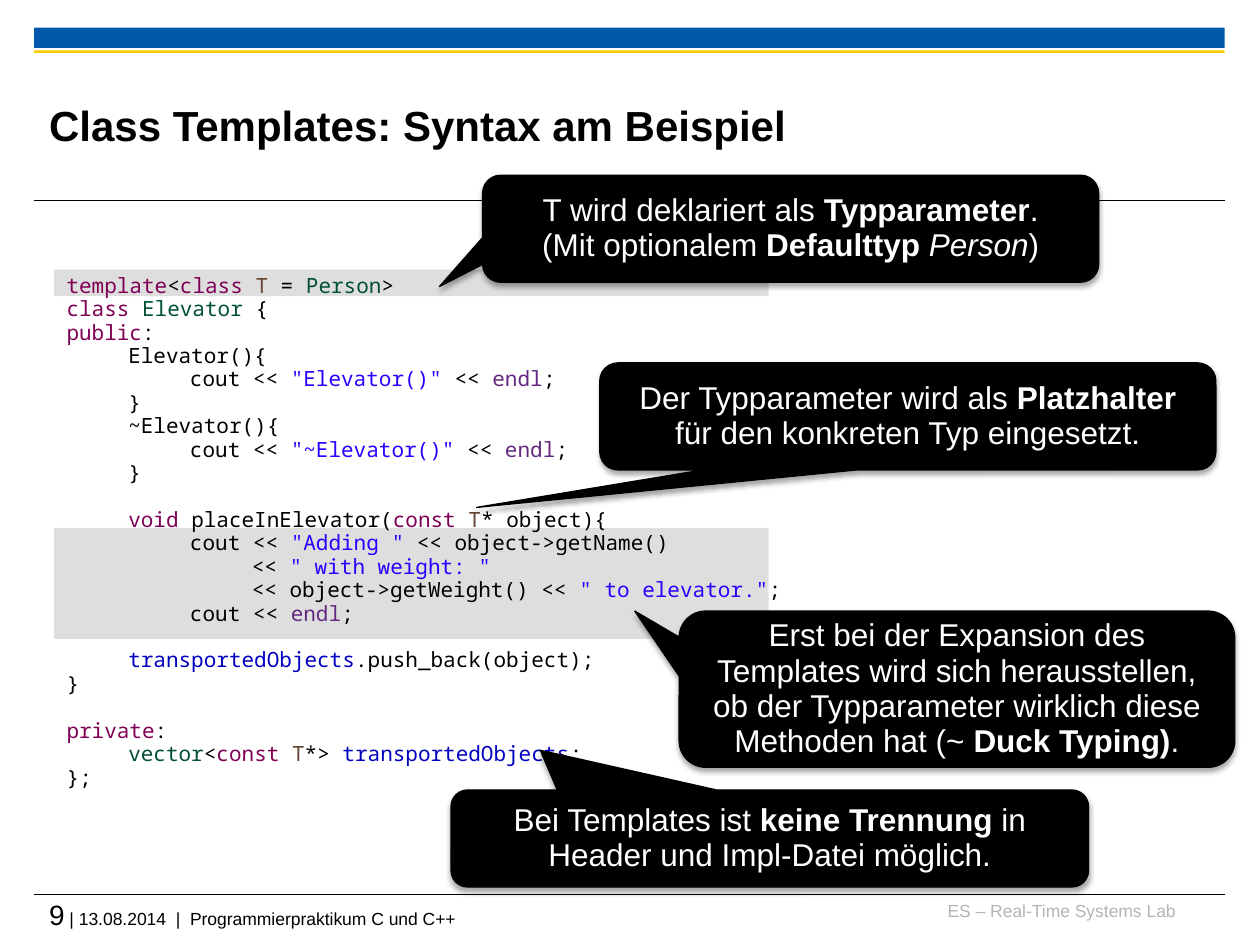
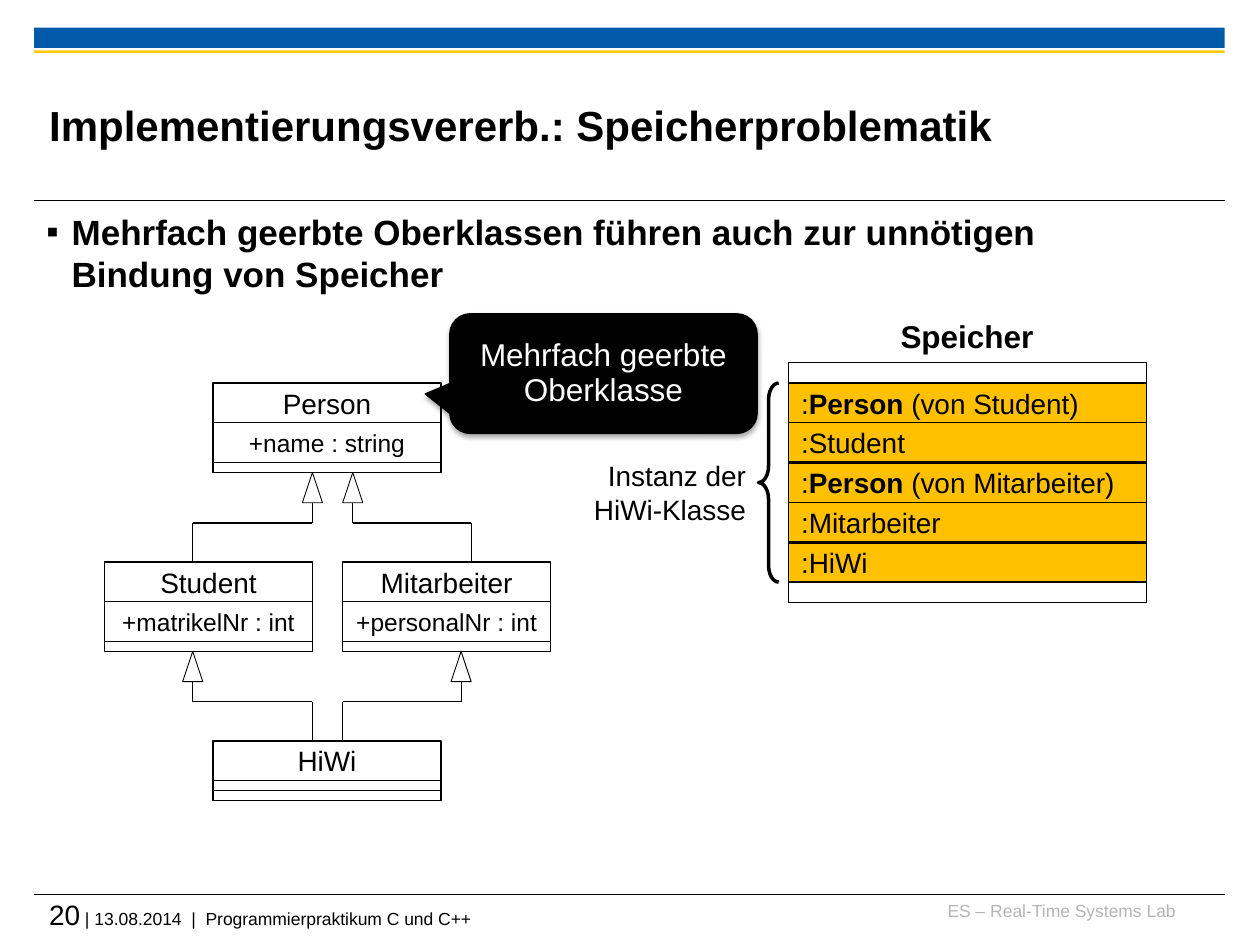
import pptx
import pptx.dml.color
import pptx.enum.shapes
import pptx.enum.text
import pptx.oxml
import pptx.oxml.ns
import pptx.util
from lxml import etree

Inches = pptx.util.Inches
Pt = pptx.util.Pt
RGBColor = pptx.dml.color.RGBColor
SHAPE = pptx.enum.shapes.MSO_SHAPE
STRAIGHT = pptx.enum.shapes.MSO_CONNECTOR.STRAIGHT
ANCHOR = pptx.enum.text.MSO_ANCHOR
ALIGN = pptx.enum.text.PP_ALIGN
qn = pptx.oxml.ns.qn

BLACK = RGBColor(0x00, 0x00, 0x00)
WHITE = RGBColor(0xFF, 0xFF, 0xFF)
BLUE = RGBColor(0x00, 0x5A, 0xA9)
GOLD = RGBColor(0xFD, 0xCA, 0x00)
FOOTER_GRAY = RGBColor(0xB5, 0xB5, 0xB5)
HIGHLIGHT = RGBColor(0xBF, 0xBF, 0xBF)
MEMORY = RGBColor(0xFF, 0xC0, 0x00)

STYLES = {
    "bold": {"bold": True},
    "italic": {"italic": True},
    "page": {"size": Pt(16)},
}
CODE_COLORS = {
    "keyword": RGBColor(0x7F, 0x00, 0x55),
    "type": RGBColor(0x00, 0x50, 0x32),
    "param": RGBColor(0x64, 0x46, 0x32),
    "string": RGBColor(0x2A, 0x00, 0xFF),
    "manip": RGBColor(0x64, 0x28, 0x80),
    "field": RGBColor(0x00, 0x00, 0xC0),
}

CALLOUT_SPACING = 0.93
TAB = 0.49


def write(shape, paragraphs, size, color=BLACK, align=ALIGN.LEFT, font="Arial", spacing=None,
          bold=False, wrap=True, anchor=ANCHOR.TOP, margin=None):
    """Fill a shape; a paragraph is a string or a list of strings and (text, style) pairs."""
    frame = shape.text_frame
    frame.word_wrap = wrap
    frame.vertical_anchor = anchor
    if margin is not None:
        for side in ("left", "right", "top", "bottom"):
            setattr(frame, f"margin_{side}", Inches(margin))
    for index, content in enumerate(paragraphs):
        paragraph = frame.add_paragraph() if index else frame.paragraphs[0]
        paragraph.alignment = align
        if spacing:
            paragraph.line_spacing = spacing
        for part in [content] if isinstance(content, str) else content:
            text, style = (part, None) if isinstance(part, str) else part
            run = paragraph.add_run()
            run.text = text
            run.font.color.rgb = CODE_COLORS.get(style, color)
            formats = {"name": font, "size": Pt(size), "bold": bold} | STYLES.get(style, {})
            for name, value in formats.items():
                setattr(run.font, name, value)
    return frame


def draw(slide, kind, area, fill=None, line=None, adjustments=()):
    """Add a preset shape, or a line from (x1, y1) to (x2, y2) when kind is STRAIGHT."""
    lengths = [Inches(value) for value in area]
    # Connector and shape types share integer values, so compare by identity
    if kind is STRAIGHT:
        shape = slide.shapes.add_connector(kind, *lengths)
        etree.SubElement(shape._element.spPr, qn("a:effectLst"))
    else:
        shape = slide.shapes.add_shape(kind, *lengths)
        shape.shadow.inherit = False
        for index, value in enumerate(adjustments):
            shape.adjustments[index] = value
        if fill is None:
            shape.fill.background()
        else:
            shape.fill.solid()
            shape.fill.fore_color.rgb = fill
    if line is None:
        shape.line.fill.background()
    else:
        shape.line.color.rgb = BLACK
        shape.line.width = Pt(line)
    return shape


presentation = pptx.Presentation()
presentation.slide_width = Inches(10)
presentation.slide_height = Inches(7.5)

# Frame shared by both slides: bands, rules, title, footer
slides = []
for number, title in (
    (9, "Class Templates: Syntax am Beispiel"),
    (20, "Implementierungsvererb.: Speicherproblematik"),
):
    slide = presentation.slides.add_slide(presentation.slide_layouts[6])
    slides.append(slide)
    draw(slide, SHAPE.RECTANGLE, (0.27, 0.22, 9.45, 0.16), BLUE)
    draw(slide, SHAPE.RECTANGLE, (0.27, 0.4, 9.45, 0.02), GOLD)
    for y in (1.59, 7.1):
        draw(slide, STRAIGHT, (0.27, y, 9.72, y), line=0.6)
    box = slide.shapes.add_textbox(Inches(0.39), Inches(0.53), Inches(7.52), Inches(0.92))
    write(box, [title], 24, bold=True, anchor=ANCHOR.MIDDLE, margin=0)
    box = slide.shapes.add_textbox(Inches(7.36), Inches(7.14), Inches(1.97), Inches(0.25))
    write(box, ["ES – Real-Time Systems Lab"], 10, FOOTER_GRAY, ALIGN.RIGHT, margin=0)
    box = slide.shapes.add_textbox(Inches(0.39), Inches(7.12), Inches(9.33), Inches(0.33))
    footer = [(str(number), "page"), " | 13.08.2014  |  Programmierpraktikum C und C++"]
    write(box, [footer], 10, margin=0)
template_slide, memory_slide = slides

# Class template: highlighted code
for top, height in ((4.19, 0.88), (2.14, 0.21)):
    band = draw(template_slide, SHAPE.RECTANGLE, (0.43, top, 5.67, height), HIGHLIGHT)
    band_color = band._element.xpath("./p:spPr/a:solidFill/a:srgbClr")[0]
    etree.SubElement(band_color, qn("a:alpha"), val="50000")

code_blocks = [
    [
        [("template", "keyword"), "<", ("class ", "keyword"), ("T", "param"), " = ",
         ("Person", "type"), ">"],
        [("class ", "keyword"), ("Elevator", "type"), " {"],
        [("public", "keyword"), ":"],
        "\tElevator(){",
        ["\t\tcout << ", ("\"Elevator()\"", "string"), " << ", ("endl", "manip"), ";"],
        "\t}",
        "\t~Elevator(){",
        ["\t\tcout << ", ("\"~Elevator()\"", "string"), " << ", ("endl", "manip"), ";"],
        "\t}",
    ],
    [
        [("\tvoid ", "keyword"), "placeInElevator(", ("const ", "keyword"), ("T", "param"),
         "* object){"],
        ["\t\tcout << ", ("\"Adding \"", "string"), " << object->getName()"],
        ["\t\t\t<< ", ("\" with weight: \"", "string")],
        ["\t\t\t<< object->getWeight() << ", ("\" to elevator.\"", "string"), ";"],
        ["\t\tcout << ", ("endl", "manip"), ";"],
    ],
    [
        [("\ttransportedObjects", "field"), ".push_back(object);"],
        "}",
    ],
    [
        [("private", "keyword"), ":"],
        [("\tvector", "type"), "<", ("const ", "keyword"), ("T", "param"), "*> ",
         ("transportedObjects", "field"), ";"],
        "};",
    ],
]
box = template_slide.shapes.add_textbox(Inches(0.43), Inches(2.13), Inches(6.77), Inches(4.23))
code = write(box, sum(code_blocks, []), 12, font="Noto Sans Mono", spacing=0.93)
for paragraph in code.paragraphs:
    tabs = etree.SubElement(paragraph._p.get_or_add_pPr(), qn("a:tabLst"))
    for stop in (1, 2, 3):
        etree.SubElement(tabs, qn("a:tab"), pos=str(Inches(stop * TAB)), algn="l")
line_index = 0
for block in code_blocks[:-1]:
    line_index += len(block)
    code.paragraphs[line_index].space_before = Pt(13.4)

# Inheritance diagram: class boxes and generalisation arrows
BRACE_TOP, BRACE_HEIGHT = 3.04, 1.58
ROW = BRACE_HEIGHT / 5
THIN_ROW = ROW / 4

box = memory_slide.shapes.add_textbox(Inches(0.27), Inches(1.62), Inches(8.43), Inches(0.95))
claim = "Mehrfach geerbte Oberklassen führen auch zur unnötigen Bindung von Speicher"
properties = write(box, [claim], 20, bold=True).paragraphs[0]._p.get_or_add_pPr()
properties.set("marL", str(Inches(0.2)))
properties.set("indent", str(-Inches(0.2)))
etree.SubElement(properties, qn("a:buFont"), typeface="Arial")
etree.SubElement(properties, qn("a:buChar"), char="▪")

for name, attribute, left, top, width in (
    ("Person", "+name : string", 1.69, 3.04, 1.81),
    ("Student", "+matrikelNr : int", 0.83, 4.46, 1.65),
    ("Mitarbeiter", "+personalNr : int", 2.72, 4.46, 1.65),
    ("HiWi", "", 1.69, 5.88, 1.81),
):
    for text, size, height in (
        (name, 16, ROW),
        (attribute, 14, ROW if attribute else THIN_ROW),
        ("", 14, THIN_ROW),
    ):
        cell = draw(memory_slide, SHAPE.RECTANGLE, (left, top, width, height), WHITE, 0.75)
        if text:
            write(cell, [text], size, align=ALIGN.CENTER, wrap=False, anchor=ANCHOR.MIDDLE)
        top += height

for parent_x, parent_bottom, child_x in (
    (2.48, 3.75, 1.53), (2.8, 3.75, 3.74), (1.53, 5.17, 2.48), (3.66, 5.17, 2.72),
):
    stem_top, bend, child_top = (parent_bottom + step for step in (0.24, 0.4, 0.71))
    draw(memory_slide, SHAPE.ISOSCELES_TRIANGLE,
         (parent_x - 0.08, parent_bottom, 0.16, 0.24), WHITE, 0.5)
    draw(memory_slide, STRAIGHT, (parent_x, stem_top, parent_x, bend), line=0.5)
    draw(memory_slide, STRAIGHT, (parent_x, bend, child_x, bend), line=0.75)
    draw(memory_slide, STRAIGHT, (child_x, bend, child_x, child_top), line=0.75)

# Memory layout of one instance
MEMORY_LEFT, MEMORY_WIDTH = 6.26, 2.84
for top in (2.88, BRACE_TOP + BRACE_HEIGHT):
    draw(memory_slide, SHAPE.RECTANGLE, (MEMORY_LEFT, top, MEMORY_WIDTH, 0.16), WHITE, 0.75)
for row, content in enumerate((
    [":", ("Person", "bold"), " (von Student)"],
    ":Student",
    [":", ("Person", "bold"), " (von Mitarbeiter)"],
    ":Mitarbeiter",
    ":HiWi",
)):
    area = (MEMORY_LEFT, BRACE_TOP + row * ROW, MEMORY_WIDTH, ROW)
    cell = draw(memory_slide, SHAPE.RECTANGLE, area, MEMORY, 0.75)
    write(cell, [content], 16, wrap=False, anchor=ANCHOR.MIDDLE)
for row in (2, 4):
    y = BRACE_TOP + row * ROW
    draw(memory_slide, STRAIGHT, (MEMORY_LEFT, y, MEMORY_LEFT + MEMORY_WIDTH, y), line=1.5)
draw(memory_slide, SHAPE.LEFT_BRACE, (6.02, BRACE_TOP, 0.16, BRACE_HEIGHT), line=2,
     adjustments=(0.83, 0.5))
box = memory_slide.shapes.add_textbox(Inches(4.61), Inches(3.59), Inches(1.41), Inches(0.64))
write(box, ["Instanz der", "HiWi-Klasse"], 16, align=ALIGN.RIGHT, wrap=False)
box = memory_slide.shapes.add_textbox(Inches(7.04), Inches(2.49), Inches(1.27), Inches(0.38))
write(box, ["Speicher"], 18, align=ALIGN.CENTER, spacing=CALLOUT_SPACING, bold=True, wrap=False)

# Callouts of both slides
for slide, area, tip, paragraphs in (
    (template_slide, (3.83, 1.39, 4.89, 0.85), (-0.57, 0.54), [
        ["T wird deklariert als ", ("Typparameter", "bold"), "."],
        ["(Mit optionalem ", ("Defaulttyp ", "bold"), ("Person", "italic"), ")"],
    ]),
    (template_slide, (3.58, 6.27, 5.06, 0.77), (-0.36, -0.91), [
        ["Bei Templates ist ", ("keine Trennung ", "bold"), "in Header und Impl-Datei möglich."],
    ]),
    (template_slide, (4.76, 2.88, 4.89, 0.85), (-0.7, 0.85), [
        ["Der Typparameter wird als ", ("Platzhalter ", "bold"),
         "für den konkreten Typ eingesetzt."],
    ]),
    (template_slide, (5.39, 4.85, 4.41, 1.24), (-0.58, -0.5), [
        ["Erst bei der Expansion des Templates wird sich herausstellen, ob der Typparameter "
         "wirklich diese Methoden hat (~ ", ("Duck Typing)", "bold"), "."],
    ]),
    (memory_slide, (3.57, 2.49, 2.44, 0.95), (-0.58, 0.17), ["Mehrfach geerbte Oberklasse"]),
):
    callout = draw(slide, SHAPE.ROUNDED_RECTANGULAR_CALLOUT, area, BLACK, 0.75, (*tip, 0.17))
    write(callout, paragraphs, 18, WHITE, ALIGN.CENTER, spacing=CALLOUT_SPACING,
          anchor=ANCHOR.MIDDLE)
    effects = callout._element.xpath("./p:spPr/a:effectLst")[0]
    shadow = etree.SubElement(effects, qn("a:outerShdw"), blurRad=str(Pt(3.1)),
                              dist=str(Pt(1.8)), dir="5400000", rotWithShape="0")
    shadow_color = etree.SubElement(shadow, qn("a:srgbClr"), val=str(BLACK))
    etree.SubElement(shadow_color, qn("a:alpha"), val="35000")

presentation.save("out.pptx")
